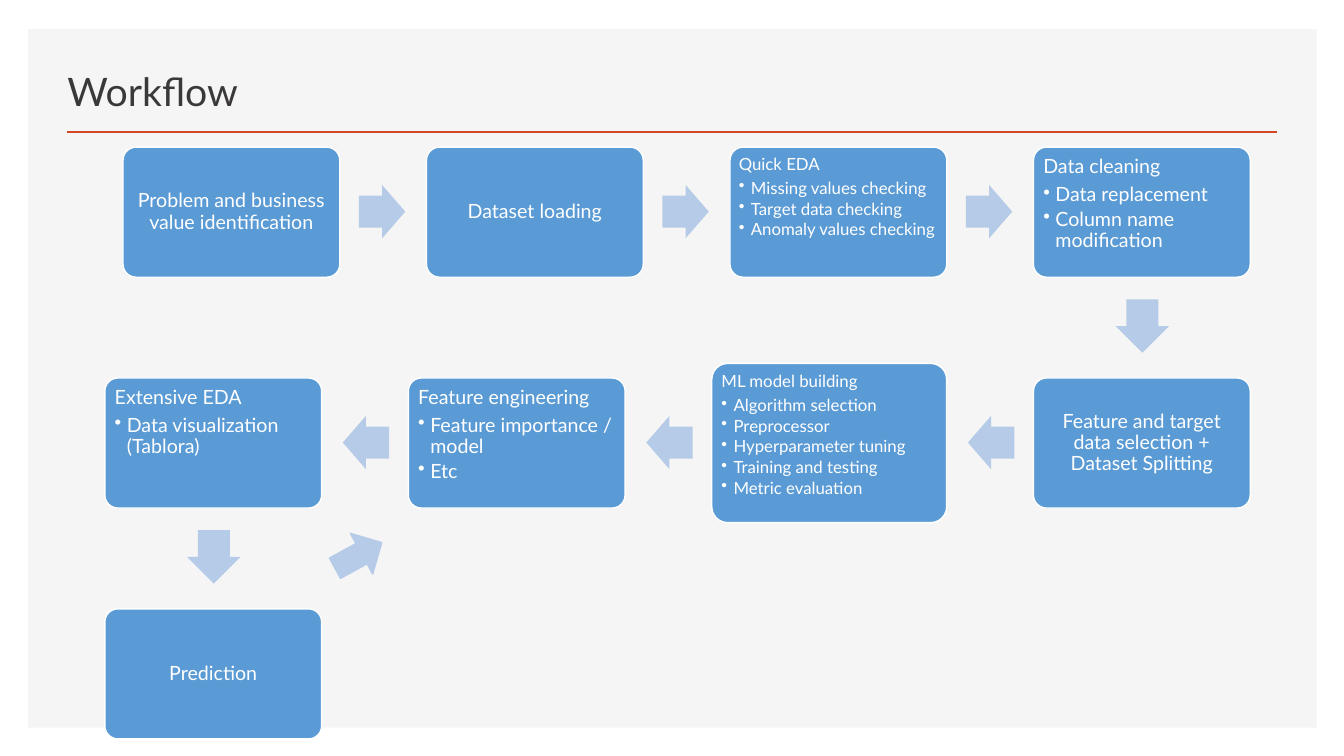
from pptx import Presentation
from pptx.dml.color import RGBColor
from pptx.enum.shapes import MSO_CONNECTOR, MSO_SHAPE
from pptx.enum.text import MSO_ANCHOR, PP_ALIGN
from pptx.oxml.ns import qn
from pptx.util import Pt
from lxml.etree import SubElement

PX = 9144
COLORS = {
    "panel": "F5F5F5",
    "rule": "D24726",
    "title": "3B3838",
    "stage": "5B9BD5",
    "arrow": "B5CBE7",
    "white": "FFFFFF",
}
GAP, ROW_PITCH = 86, 229
TURN = {"right": 0, "down": 90, "left": 180}
STAGES = [
    ("Problem and business value identification", [], 14, 215, 129, "right"),
    ("Dataset loading", [], 14, 215, 129, "right"),
    ("Quick EDA", ["Missing values checking", "Target data checking",
                   "Anomaly values checking"], 12, 215, 129, "right"),
    ("Data cleaning", ["Data replacement", "Column name modification"],
     14, 215, 129, "down"),
    ("Feature and target data selection + Dataset Splitting", [],
     14, 215, 129, "left"),
    ("ML model building", ["Algorithm selection", "Preprocessor",
                           "Hyperparameter tuning", "Training and testing",
                           "Metric evaluation"], 12, 233, 158, "left"),
    ("Feature engineering", ["Feature importance / model", "Etc"],
     14, 215, 129, "left"),
    ("Extensive EDA", ["Data visualization (Tablora)"], 14, 215, 129, "down"),
    ("Prediction", [], 14, 215, 129, None),
]


def rgb(name):
    return RGBColor.from_string(COLORS[name])


def apply(target, formats):
    for attribute, value in formats.items():
        setattr(target, attribute, value)


def emu(*lengths):
    return [round(length * PX) for length in lengths]


def add_block(slide, kind, box, fill, line=None):
    block = slide.shapes.add_shape(kind, *emu(*box))
    block.shadow.inherit = False
    block.fill.solid()
    block.fill.fore_color.rgb = rgb(fill)
    if line:
        block.line.color.rgb = rgb(line)
        block.line.width = Pt(1)
    else:
        block.line.fill.background()
    return block


def write(paragraph, text, size, color):
    run = paragraph.add_run()
    run.text = text
    apply(run.font, {"name": "Lato", "size": Pt(size)})
    run.font.color.rgb = rgb(color)


def set_inset(frame, inset):
    sides = ("left", "top", "right", "bottom")
    apply(frame, {f"margin_{side}": inset * PX for side in sides})


def add_header(slide, box):
    left, top, width, height = box
    title = slide.shapes.add_textbox(*emu(left - 9, top, 752, 70))
    apply(title.text_frame,
          {"word_wrap": True, "vertical_anchor": MSO_ANCHOR.BOTTOM})
    heading = title.text_frame.paragraphs[0]
    heading.line_spacing = 0.9
    write(heading, "Workflow", 28, "title")
    rule = slide.shapes.add_connector(
        MSO_CONNECTOR.STRAIGHT,
        *emu(left, top + height, left + width, top + height))
    rule.line.color.rgb = rgb("rule")
    rule.line.width = Pt(2)
    SubElement(rule.element.spPr, qn("a:effectLst"))


def add_stage(slide, box, heading, bullets, size):
    stage = add_block(slide, MSO_SHAPE.ROUNDED_RECTANGLE, box, "stage", "white")
    stage.adjustments[0] = 0.1
    frame = stage.text_frame
    set_inset(frame, 6 if size == 14 else 5)
    anchor = MSO_ANCHOR.TOP if bullets else MSO_ANCHOR.MIDDLE
    apply(frame, {"word_wrap": True, "vertical_anchor": anchor})
    for index, text in enumerate([heading, *bullets]):
        paragraph = frame.add_paragraph() if index else frame.paragraphs[0]
        alignment = PP_ALIGN.LEFT if bullets else PP_ALIGN.CENTER
        apply(paragraph, {"alignment": alignment, "line_spacing": 0.9,
                          "level": 1 if index else 0})
        properties = paragraph._p.get_or_add_pPr()
        after = SubElement(properties, qn("a:spcAft"))
        SubElement(after, qn("a:spcPct"), val="15000" if index else "35000")
        if index:
            properties.set("marL", str(12 * PX))
            properties.set("indent", str(-12 * PX))
            SubElement(properties, qn("a:buChar"), char="•")
        write(paragraph, text, size, "white")


def add_arrow(slide, box, rotation):
    arrow = add_block(slide, MSO_SHAPE.RIGHT_ARROW, box, "arrow")
    arrow.rotation = rotation
    arrow.adjustments[0] = 0.6
    arrow.adjustments[1] = 0.5


def add_workflow(slide, box):
    left, top, _, _ = box
    middle = top + STAGES[0][4] / 2
    previous = None
    for heading, bullets, size, width, height, way in STAGES:
        if previous == "left":
            left -= GAP + width
        add_stage(slide, (left, middle - height / 2, width, height),
                  heading, bullets, size)
        if way == "down":
            add_arrow(slide, (left + width / 2 - 26, middle + height / 2 + 22,
                              53, 53), TURN[way])
            middle += ROW_PITCH
        elif way:
            start = left + width + 19 if way == "right" else left - 19 - 46
            add_arrow(slide, (start, middle - 27, 46, 53), TURN[way])
            if way == "right":
                left += width + GAP
        previous = way
    feedback = add_block(slide, MSO_SHAPE.RIGHT_ARROW,
                         (box[0] + 207, top + 382, 53, 46), "arrow", "arrow")
    feedback.rotation = 331.3


def main():
    deck = Presentation()
    apply(deck, {"slide_width": 1333 * PX, "slide_height": 750 * PX})
    slide = deck.slides.add_slide(deck.slide_layouts[6])
    add_block(slide, MSO_SHAPE.RECTANGLE, (28, 29, 1278, 693), "panel")
    add_header(slide, (66, 49, 1201, 82))
    add_workflow(slide, (122, 146, 1118, 587))
    deck.save("out.pptx")


if __name__ == "__main__":
    main()
